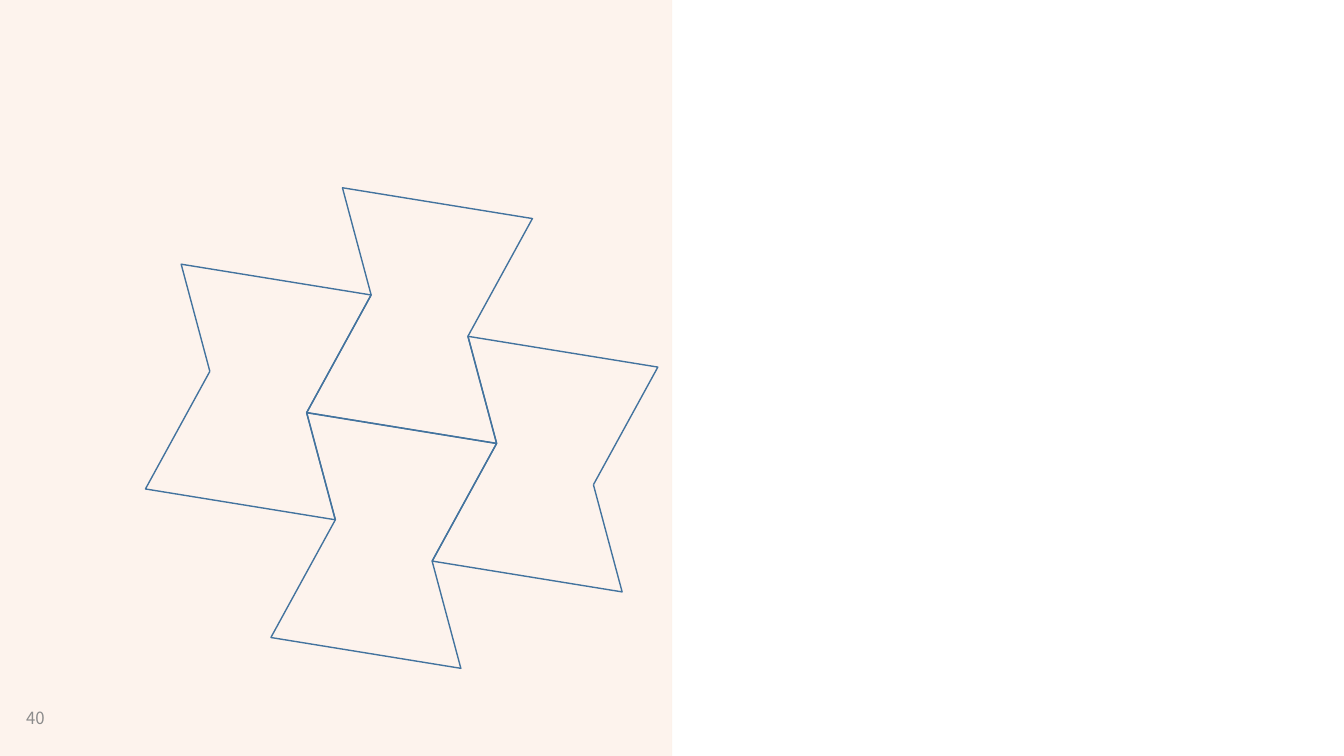
from dataclasses import dataclass

from lxml import etree
from pptx import Presentation
from pptx.dml.color import RGBColor
from pptx.enum import shapes, text
from pptx.oxml.ns import qn
from pptx.util import Pt

COLORS = {"panel": "F4B183", "divider": "FBE5D6", "tile": "43739E", "number": "8C8C8C"}
FONT = "Noto Sans CJK SC"
PAGE_WIDTH, PAGE_HEIGHT = 960, 540
PANEL_WIDTH = PAGE_WIDTH / 2


@dataclass(frozen=True)
class Point:
    x: float
    y: float

    def plus(self, other: "Point", times: float = 1) -> "Point":
        return Point(self.x + times * other.x, self.y + times * other.y)


@dataclass(frozen=True)
class Tile:
    row: int
    column: int


# Upper half of a tile, measured from its left waist point
HALF_OUTLINE = [Point(0, 0), Point(-20.5, -76.6), Point(115.2, -54.6), Point(69.2, 29.4)]
FIRST_WAIST = Point(149.9, 265.3)
ROW_STEP = Point(89.6, 106.1)
COLUMN_STEP = HALF_OUTLINE[2]
TILES = [Tile(0, 0), Tile(1, 0), Tile(0, 1), Tile(1, 1)]


def rgb(name: str) -> RGBColor:
    return RGBColor.from_string(COLORS[name])


def set_opacity(fill_parent, percent: int) -> None:
    color = fill_parent.find(".//" + qn("a:srgbClr"))
    etree.SubElement(color, qn("a:alpha")).set("val", str(percent * 1000))


def draw_half(group, points: list[Point]) -> None:
    corners = [(Pt(point.x), Pt(point.y)) for point in points]
    builder = group.shapes.build_freeform(*corners[0])
    builder.add_line_segments(corners[1:], close=False)
    half = builder.convert_to_shape()
    half.shadow.inherit = False
    half.fill.background()
    half.line.color.rgb = rgb("tile")
    half.line.width = Pt(1)


def draw_tile(page, tile: Tile) -> None:
    left_waist = FIRST_WAIST.plus(ROW_STEP, tile.row).plus(COLUMN_STEP, tile.column)
    right_waist = left_waist.plus(HALF_OUTLINE[-1])
    group = page.shapes.add_group_shape()
    draw_half(group, [left_waist.plus(offset) for offset in HALF_OUTLINE])
    # The lower half is the upper half turned by 180 degrees
    draw_half(group, [right_waist.plus(offset, -1) for offset in HALF_OUTLINE])


def draw_panel(page) -> None:
    panel = page.shapes.add_shape(
        shapes.MSO_SHAPE.RECTANGLE, 0, 0, Pt(PANEL_WIDTH), Pt(PAGE_HEIGHT))
    panel.shadow.inherit = False
    panel.fill.solid()
    panel.fill.fore_color.rgb = rgb("panel")
    set_opacity(panel.element.spPr, 14)
    panel.line.fill.background()

    divider = page.shapes.add_connector(
        shapes.MSO_CONNECTOR.STRAIGHT,
        Pt(PANEL_WIDTH), Pt(PAGE_HEIGHT), Pt(PANEL_WIDTH), 0)
    divider.line.color.rgb = rgb("divider")
    divider.line.width = Pt(0.25)
    set_opacity(divider.line._ln, 50)
    etree.SubElement(divider.element.spPr, qn("a:effectLst"))


def draw_page_number(page, number: str) -> None:
    box = page.shapes.add_textbox(Pt(11.5), Pt(499), Pt(48), Pt(28))
    frame = box.text_frame
    frame.word_wrap = True
    frame.vertical_anchor = text.MSO_ANCHOR.MIDDLE
    frame.text = number
    span = frame.paragraphs[0].runs[0]
    span.font.name = FONT
    span.font.size = Pt(12)
    span.font.color.rgb = rgb("number")


def main() -> None:
    deck = Presentation()
    deck.slide_width, deck.slide_height = Pt(PAGE_WIDTH), Pt(PAGE_HEIGHT)
    page = deck.slides.add_slide(deck.slide_layouts[6])

    # Background panel and page number
    draw_panel(page)
    draw_page_number(page, "40")

    # Tessellation
    for tile in TILES:
        draw_tile(page, tile)

    deck.save("out.pptx")


if __name__ == "__main__":
    main()
